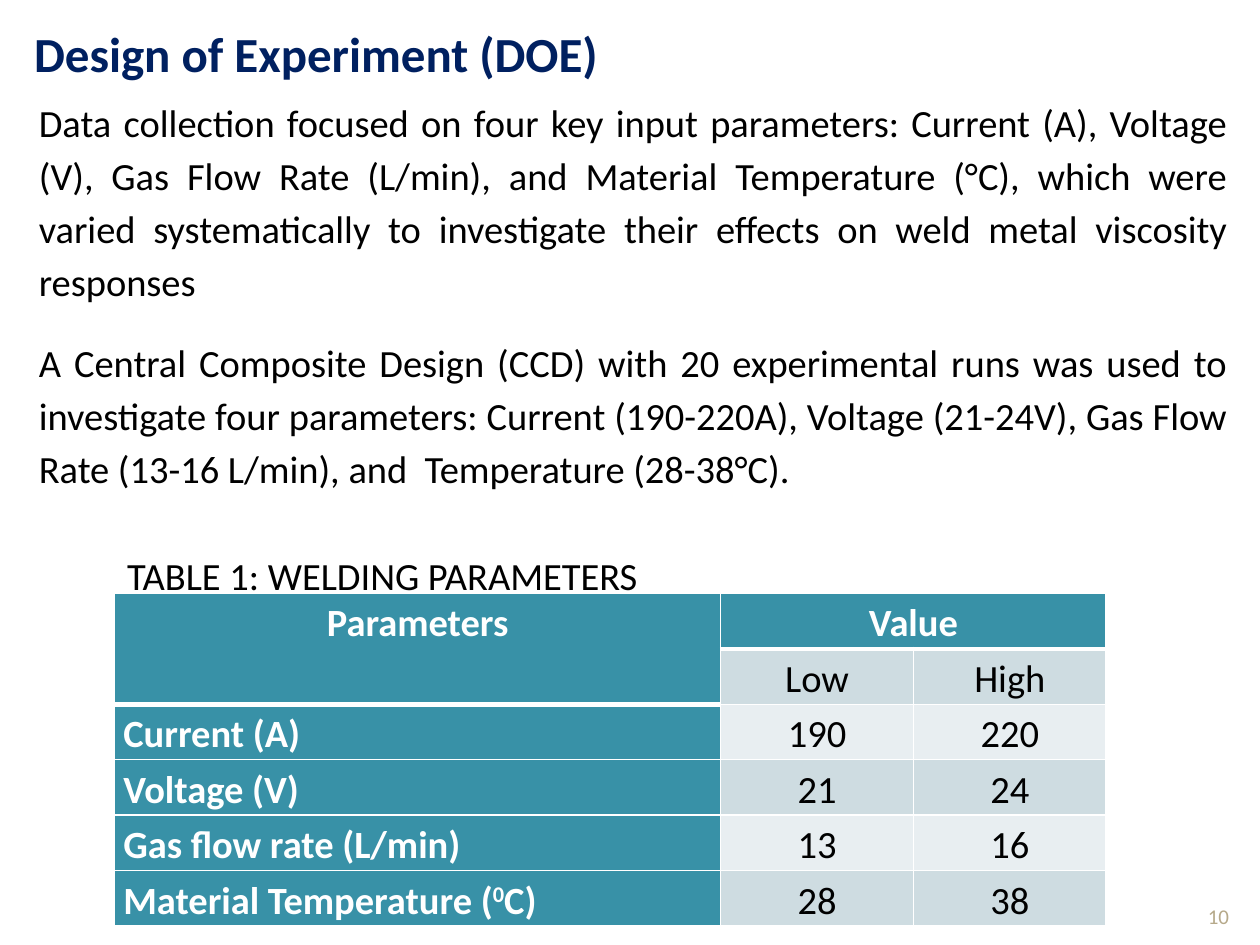
from lxml import etree
from pptx import Presentation
from pptx.dml.color import RGBColor
from pptx.enum.text import MSO_ANCHOR, MSO_AUTO_SIZE, PP_ALIGN
from pptx.oxml.ns import qn
from pptx.util import Inches, Pt

LEFT, CENTER, JUSTIFY = PP_ALIGN.LEFT, PP_ALIGN.CENTER, PP_ALIGN.JUSTIFY
TOP, MIDDLE, BOTTOM = MSO_ANCHOR.TOP, MSO_ANCHOR.MIDDLE, MSO_ANCHOR.BOTTOM
NO_FIT = MSO_AUTO_SIZE.NONE

TEAL, DARK, LIGHT = "3891A7", "CEDCE1", "E8EEF1"
WHITE, BLACK, NAVY, SAND = "FFFFFF", "000000", "002060", "B6A98A"

BODY = [
    "Data collection focused on four key input parameters: Current (A), "
    "Voltage (V), Gas Flow Rate (L/min), and Material Temperature (°C), which "
    "were varied systematically to investigate their effects on weld metal "
    "viscosity responses",
    "A Central Composite Design (CCD) with 20 experimental runs was used to "
    "investigate four parameters: Current (190-220A), Voltage (21-24V), Gas "
    "Flow Rate (13-16 L/min), and  Temperature (28-38°C).",
]
ROWS = [
    ["Parameters", "Value", ""],
    ["", "Low", "High"],
    ["Current (A)", "190", "220"],
    ["Voltage (V)", "21", "24"],
    ["Gas flow rate (L/min)", "13", "16"],
    [("Material Temperature (", "0", "C)"), "28", "38"],
]
WIDTHS = [4.81, 1.53, 1.53]


def rgb(code):
    return RGBColor.from_string(code)


def style(para, size, color, bold=False, align=LEFT):
    para.alignment = align
    font = para.font
    font.name, font.size, font.bold = "Calibri", Pt(size), bold
    font.color.rgb = rgb(color)


def place(shape, left, top, width, height):
    shape.left, shape.top = Inches(left), Inches(top)
    shape.width, shape.height = Inches(width), Inches(height)


def add_title(slide, text):
    title = slide.shapes.title
    place(title, 0.17, 0.05, 8.87, 0.74)
    frame = title.text_frame
    frame.text = text
    frame.auto_size = NO_FIT
    frame.vertical_anchor = MIDDLE
    style(frame.paragraphs[0], 28, NAVY, True)


def add_text(slide, box, lines, size, color, align=LEFT, anchor=TOP):
    """Add a text box with one paragraph per line; return its paragraphs."""
    frame = slide.shapes.add_textbox(*map(Inches, box)).text_frame
    frame.word_wrap = True
    frame.vertical_anchor = anchor
    frame.text = "\n".join(lines)
    for para in frame.paragraphs:
        style(para, size, color, align=align)
    return frame.paragraphs


def add_body(slide):
    paras = add_text(slide, (0.12, 0.68, 9.72, 3.39), BODY, 22, BLACK, JUSTIFY)
    for i, para in enumerate(paras):
        para.line_spacing = 1.15
        para.space_before = Pt(6 if i else 0)
        para.space_after = Pt(10)
        para._p.get_or_add_pPr().set("marL", str(Inches(0.09)))


def set_edges(cell, base):
    """Draw white cell borders, with the bottom one base points wide."""
    props = cell._tc.get_or_add_tcPr()
    for i, (side, width) in enumerate(zip("LRTB", (1, 1, 1, base))):
        line = etree.Element(qn(f"a:ln{side}"), w=str(Pt(width)))
        fill = etree.SubElement(line, qn("a:solidFill"))
        etree.SubElement(fill, qn("a:srgbClr"), val=WHITE)
        props.insert(i, line)


def fill_cell(cell, text, row, col):
    head = row == 0 or col == 0
    cell.fill.solid()
    cell.fill.fore_color.rgb = rgb(TEAL if head else DARK if row % 2 else LIGHT)
    cell.margin_left = cell.margin_right = Inches(0.07)
    cell.margin_top = cell.margin_bottom = 0
    set_edges(cell, 3 if row == 0 or (row, col) == (1, 0) else 1)
    para = cell.text_frame.paragraphs[0]
    if isinstance(text, tuple):
        runs = [para.add_run() for _ in text]
        for run, part in zip(runs, text):
            run.text = part
        runs[1].font._element.set("baseline", "30000")
    else:
        para.text = text
    para.line_spacing = 1.15
    para.space_after = Pt(10)
    style(para, 22, WHITE if head else BLACK, head,
          CENTER if row == 0 or col else LEFT)


def add_grid(slide):
    box = map(Inches, (0.91, 4.71, sum(WIDTHS), 2.66))
    table = slide.shapes.add_table(len(ROWS), len(WIDTHS), *box).table
    table.first_row = table.horz_banding = False
    for col, width in zip(table.columns, WIDTHS):
        col.width = Inches(width)
    for r, texts in enumerate(ROWS):
        table.rows[r].height = Inches(0.44)
        for c, text in enumerate(texts):
            fill_cell(table.cell(r, c), text, r, c)
    table.cell(0, 0).merge(table.cell(1, 0))
    table.cell(0, 1).merge(table.cell(0, 2))


def main():
    deck = Presentation()
    deck.slide_width, deck.slide_height = Inches(10), Inches(7.5)
    slide = deck.slides.add_slide(deck.slide_layouts[5])
    add_text(slide, (9.42, 6.9, 0.5, 0.52), ["10"], 12, SAND, CENTER, BOTTOM)
    add_body(slide)
    add_title(slide, "Design of Experiment (DOE)")
    add_grid(slide)
    add_text(slide, (0.91, 4.33, 6.69, 0.84),
             ["TABLE 1: WELDING PARAMETERS"], 22, BLACK)
    deck.save("out.pptx")


if __name__ == "__main__":
    main()
